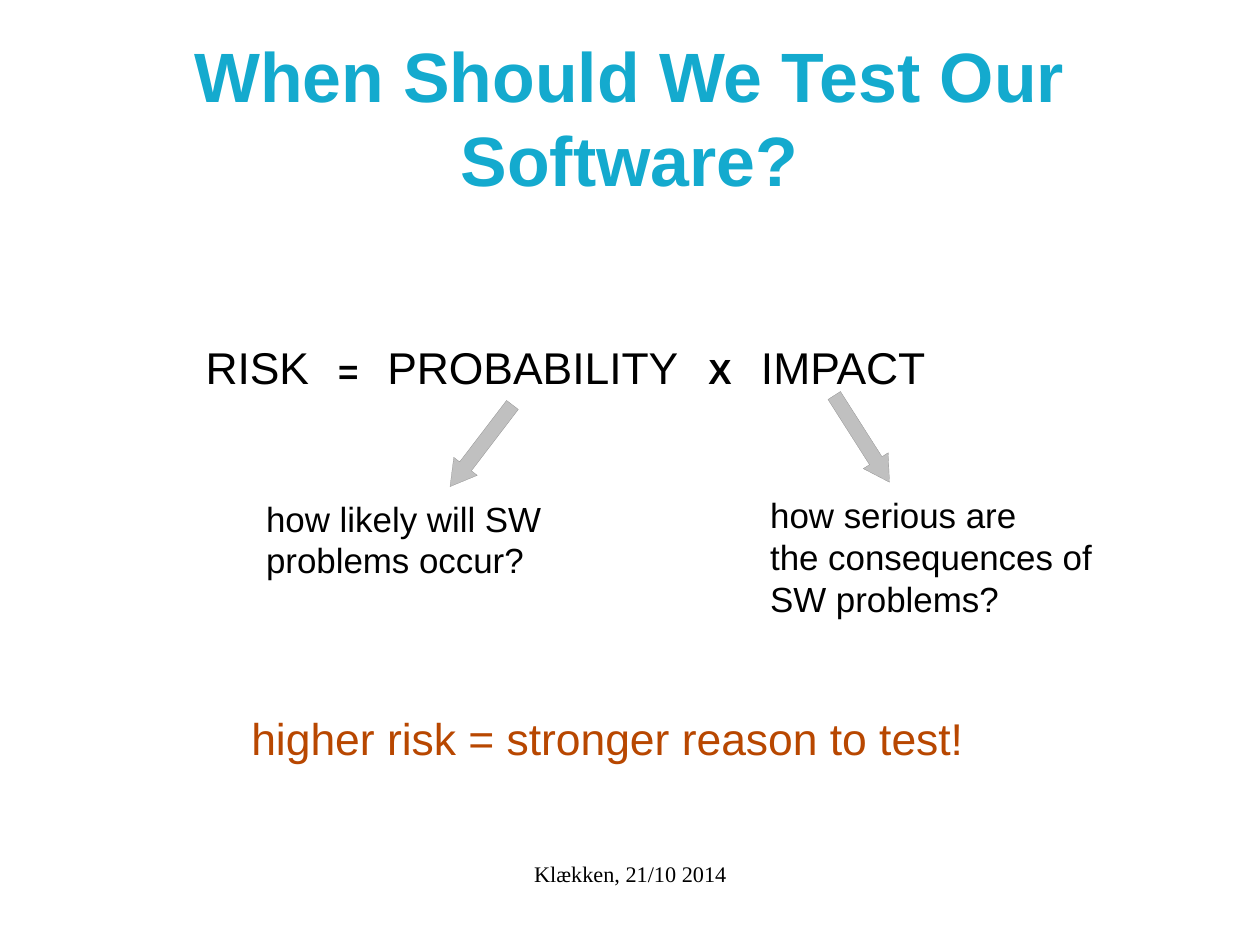
"""Build the slide on when to test software, led by the risk formula."""
from pptx import Presentation
from pptx.dml.color import RGBColor
from pptx.enum.shapes import MSO_SHAPE
from pptx.enum.text import MSO_ANCHOR, PP_ALIGN
from pptx.oxml.ns import qn
from pptx.util import Inches, Pt
from lxml.etree import SubElement

THEME = {
    "title": {"size": 44, "color": "14AACE", "bold": True},
    "term": {"size": 28, "color": "000000"},
    "sign": {"size": 22, "color": "000000", "bold": True},
    "note": {"size": 22, "color": "000000"},
    "claim": {"size": 28, "color": "B84700"},
    "foot": {"size": 14, "color": "000000", "font": "Times New Roman"},
    "arrow": {"fill": "C0C0C0", "line": "808080", "width": 0.1},
}
WIDE = 28 / 2.54
HIGH = 21 / 2.54
PAD = (0.1, 0.05)
BARE = (0, 0)

TITLE = ("When Should We Test Our Software?", (0.55, 0.33, 9.92, 1.38))
FOOT = ("Klækken, 21/10 2014", (3.77, 7.53, 3.49, 0.57))
CLAIM = ("higher risk = stronger reason to test!", (2.1, 6.17, 6.85, 0.56))
RISK = (1.7, 2.93, 6.6, 0.53)
PARTS = [
    ("RISK", "term", 0),
    ("=", "sign", 1.16),
    ("PROBABILITY", "term", 1.59),
    ("X", "sign", 4.4),
    ("IMPACT", "term", 4.86),
]
NOTES = [
    ("how likely will SW\nproblems occur?", (2.23, 4.3, 2.7, 0.78)),
    ("how serious are\nthe consequences of\nSW problems?", (6.64, 4.27, 3.1, 1.12)),
]
ARROWS = [(3.76, 3.77, 127.4), (7.09, 3.71, 57.5)]
ARROW = (0.9, 0.26)


def style(run, kind):
    look = THEME[kind]
    font = run.font
    font.name = look.get("font", "Arial")
    font.size = Pt(look["size"])
    font.bold = look.get("bold", False)
    font.color.rgb = RGBColor.from_string(look["color"])


def add_box(slide, box, pad=PAD):
    frame = slide.shapes.add_textbox(*map(Inches, box)).text_frame
    frame.word_wrap = True
    frame.margin_left = frame.margin_right = Inches(pad[0])
    frame.margin_top = frame.margin_bottom = Inches(pad[1])
    return frame


def add_text(slide, text, box, kind, pad=PAD, align=PP_ALIGN.LEFT):
    frame = add_box(slide, box, pad)
    frame.text = text
    for line in frame.paragraphs:
        line.alignment = align
        for run in line.runs:
            style(run, kind)
    return frame


def add_risk(slide):
    line = add_box(slide, RISK).paragraphs[0]
    tabs = SubElement(line._p.get_or_add_pPr(), qn("a:tabLst"))
    for word, kind, stop in PARTS:
        run = line.add_run()
        run.text = word
        if stop:
            run.text = "\t" + word
            SubElement(tabs, qn("a:tab"), pos=str(Inches(stop)), algn="l")
        style(run, kind)


def add_arrow(slide, left, top, turn):
    look = THEME["arrow"]
    arrow = slide.shapes.add_shape(
        MSO_SHAPE.RIGHT_ARROW, *map(Inches, (left, top, *ARROW)))
    arrow.rotation = turn
    arrow.adjustments[0] = 0.5
    arrow.adjustments[1] = 0.86
    arrow.shadow.inherit = False
    arrow.fill.solid()
    arrow.fill.fore_color.rgb = RGBColor.from_string(look["fill"])
    arrow.line.color.rgb = RGBColor.from_string(look["line"])
    arrow.line.width = Pt(look["width"])


def main():
    deck = Presentation()
    deck.slide_width = Inches(WIDE)
    deck.slide_height = Inches(HIGH)
    slide = deck.slides.add_slide(deck.slide_layouts[6])
    head = add_text(slide, *TITLE, "title", BARE, PP_ALIGN.CENTER)
    head.vertical_anchor = MSO_ANCHOR.MIDDLE
    add_risk(slide)
    for text, box in NOTES:
        add_text(slide, text, box, "note")
    for spot in ARROWS:
        add_arrow(slide, *spot)
    add_text(slide, *CLAIM, "claim")
    add_text(slide, *FOOT, "foot", BARE, PP_ALIGN.CENTER)
    deck.save("out.pptx")


main()
